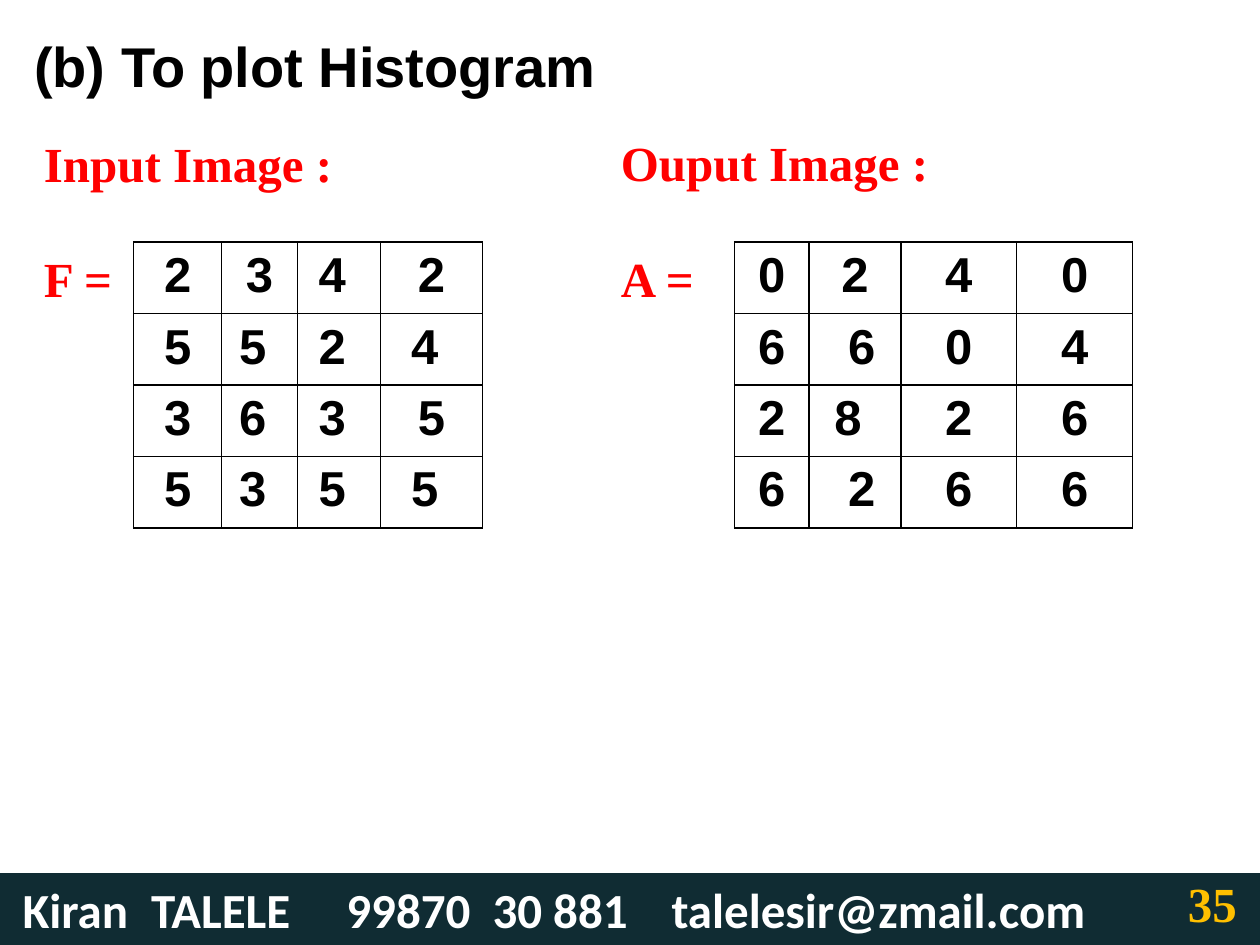
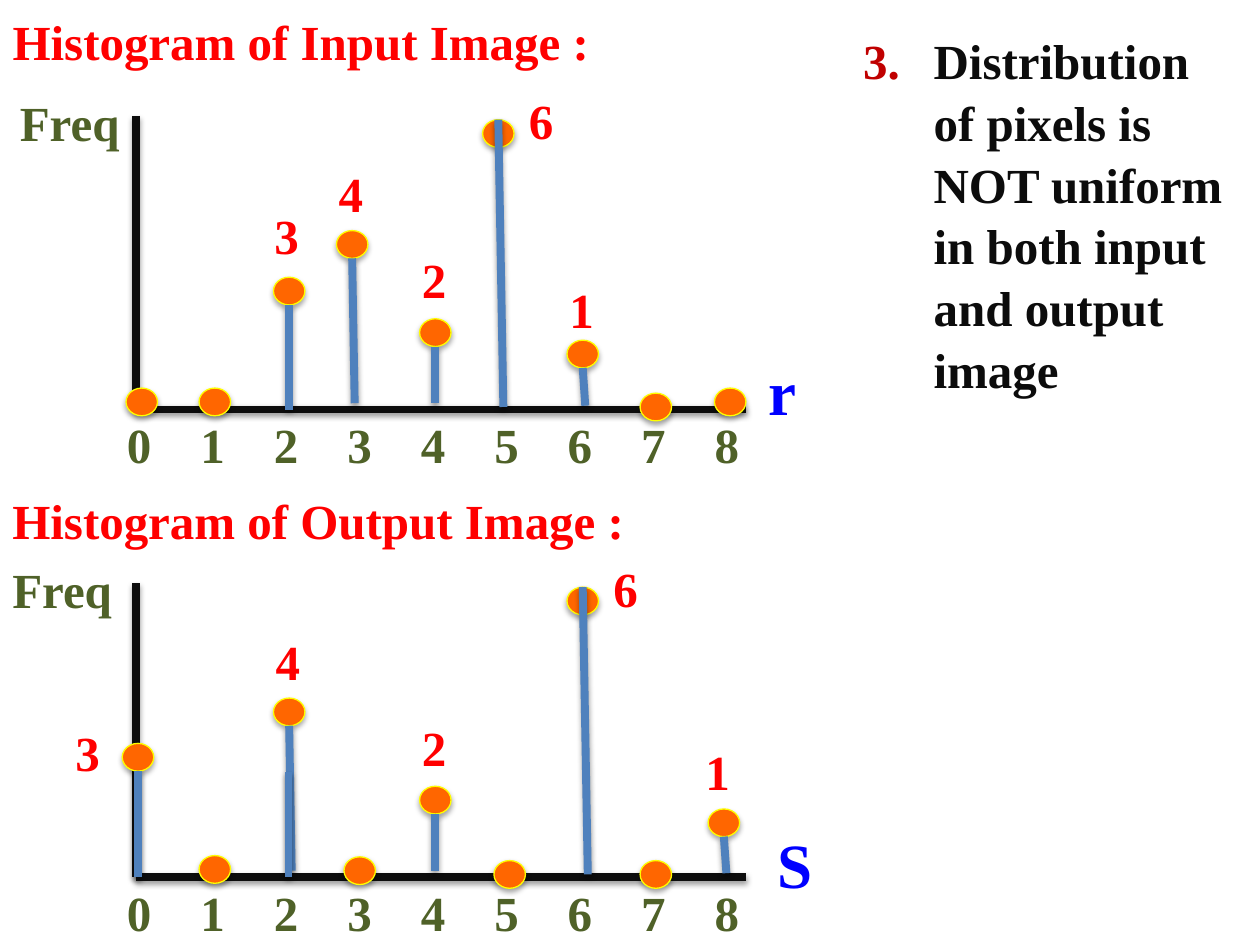
from lxml.etree import SubElement
from pptx import Presentation
from pptx.dml.color import RGBColor
from pptx.enum.shapes import MSO_CONNECTOR, MSO_SHAPE
from pptx.enum.text import MSO_ANCHOR, MSO_AUTO_SIZE, PP_ALIGN
from pptx.oxml.ns import qn
from pptx.util import Inches, Pt

COLORS = {
    "black": "000000", "white": "FFFFFF", "heading": "FF0000",
    "scale": "4F6128", "variable": "0000FF", "axis": "0D0D0D",
    "stem": "4F81BD", "dot": "FF6600", "dot_edge": "FFFF00",
    "footer": "102C33", "page": "FFC000", "number": "C00000", "body": "0C0C0C",
}
SERIF, SANS, FOOTER_FONT = "Times New Roman", "Arial", "Calibri"

# Pixel count: stem lean, stem end, label offset from the dot (x, y)
LEVELS = {
    1: (0.02, 3.22, -0.08, -0.53),
    2: (0, 3.2, -0.08, -0.6),
    3: (0, 3.25, -0.09, -0.62),
    4: (0.02, 3.2, -0.08, -0.58),
    6: (0.04, 3.23, 0.27, -0.28),
}
DOT_W, DOT_H = 0.25, 0.22
BIN_STEP = 0.583

# Each bin: pixel count, dot left, dot top, and a label offset if it differs
INPUT_BINS = [
    (0, 1, 3.08), (0, 1.58, 3.08), (3, 2.17, 2.2), (4, 2.67, 1.83),
    (2, 3.33, 2.53), (6, 3.83, 0.95), (1, 4.5, 2.7), (0, 5.08, 3.12),
    (0, 5.67, 3.08),
]
OUTPUT_BINS = [
    (3, 0.97, 2.19, -0.47, -0.22), (0, 1.58, 3.08), (4, 2.17, 1.83),
    (0, 2.73, 3.09), (2, 3.33, 2.53), (0, 3.92, 3.12), (6, 4.5, 0.95),
    (0, 5.08, 3.12), (1, 5.62, 2.71, -0.12, -0.59),
]

INPUT_PIXELS = [["2", "3", "4 ", "2"], ["5", "5 ", "2 ", "4 "],
                ["3", "6 ", "3 ", "5"], ["5", "3 ", "5 ", "5 "]]
OUTPUT_PIXELS = [["0", " 2 ", " 4 ", "0"], ["6", " 6", "0", "4"],
                 ["2", "8 ", "2", "6"], ["6", " 2", "6", "6"]]


def rgb(name):
    return RGBColor.from_string(COLORS[name])


def place(shape, x, y, w, h):
    shape.left, shape.top = Inches(x), Inches(y)
    shape.width, shape.height = Inches(w), Inches(h)


def add_run(p, text, color, font=SERIF, size=28):
    r = p.add_run()
    r.text = text
    r.font.name, r.font.size, r.font.bold = font, Pt(size), True
    r.font.color.rgb = rgb(color)


def add_tabs(p, stops):
    tabs = SubElement(p._p.get_or_add_pPr(), qn("a:tabLst"))
    for stop in stops:
        SubElement(tabs, qn("a:tab"), pos=str(Inches(stop)), algn="l")


def add_text(s, x, y, w, h, text, color, size=28, anchor=MSO_ANCHOR.MIDDLE, tabs=()):
    tf = s.shapes.add_textbox(Inches(x), Inches(y), Inches(w), Inches(h)).text_frame
    tf.word_wrap = True
    tf.vertical_anchor = anchor
    p = tf.paragraphs[0]
    if tabs:
        add_tabs(p, tabs)
    add_run(p, text, color, size=size)


def set_title(s, x, y, w, h, text, color, font, size):
    title = s.shapes.title
    place(title, x, y, w, h)
    tf = title.text_frame
    tf.auto_size = MSO_AUTO_SIZE.NONE
    tf.vertical_anchor = MSO_ANCHOR.MIDDLE
    p = tf.paragraphs[0]
    p.alignment = PP_ALIGN.LEFT
    add_run(p, text, color, font, size)


def add_shadow(shape, alpha, dist):
    sp_pr = shape._element.spPr
    effects = sp_pr.find(qn("a:effectLst"))
    if effects is None:
        effects = SubElement(sp_pr, qn("a:effectLst"))
    shadow = SubElement(effects, qn("a:outerShdw"), blurRad=str(Pt(3.1)),
                        dist=str(Pt(dist)), dir="5400000", rotWithShape="0")
    color = SubElement(shadow, qn("a:srgbClr"), val=COLORS["black"])
    SubElement(color, qn("a:alpha"), val=str(alpha * 1000))


def add_line(s, x1, y1, x2, y2, color):
    line = s.shapes.add_connector(MSO_CONNECTOR.STRAIGHT, Inches(x1), Inches(y1),
                                  Inches(x2), Inches(y2))
    line.line.color.rgb = rgb(color)
    line.line.width = Pt(4.5)
    add_shadow(line, 38, 1.6)


def add_dot(s, x, y):
    dot = s.shapes.add_shape(MSO_SHAPE.OVAL, Inches(x), Inches(y),
                             Inches(DOT_W), Inches(DOT_H))
    dot.fill.solid()
    dot.fill.fore_color.rgb = rgb("dot")
    dot.line.color.rgb = rgb("dot_edge")
    dot.line.width = Pt(0.75)
    dot.shadow.inherit = False
    add_shadow(dot, 35, 1.8)


def border_cell(cell):
    tc_pr = cell._tc.get_or_add_tcPr()
    for side in ("lnL", "lnR", "lnT", "lnB"):
        ln = SubElement(tc_pr, qn("a:" + side), w=str(Pt(1)))
        fill = SubElement(ln, qn("a:solidFill"))
        SubElement(fill, qn("a:srgbClr"), val=COLORS["black"])


def add_matrix(s, x, y, widths, rows):
    row_h = 0.567
    table = s.shapes.add_table(len(rows), len(widths), Inches(x), Inches(y),
                               Inches(sum(widths)), Inches(row_h * len(rows))).table
    table.first_row = table.horz_banding = False
    for col, width in zip(table.columns, widths):
        col.width = Inches(width)
    for i, values in enumerate(rows):
        table.rows[i].height = Inches(row_h)
        for j, value in enumerate(values):
            cell = table.cell(i, j)
            border_cell(cell)
            cell.fill.background()
            p = cell.text_frame.paragraphs[0]
            p.alignment = PP_ALIGN.CENTER
            add_run(p, value, "black", SANS)


def add_histogram(s, y, bins, freq_x):
    # Axes and scale
    add_line(s, 1.08, y + 0.92, 1.08, y + 3.25, "axis")
    add_line(s, 1.08, y + 3.25, 5.92, y + 3.25, "axis")
    add_text(s, freq_x, y + 0.68, 1.1, 0.57, "Freq", "scale")
    add_text(s, 0.91, y + 3.24, 5.3, 0.57, "\t".join(str(i) for i in range(len(bins))),
             "scale", tabs=[BIN_STEP * i for i in range(1, len(bins))])
    # Dots, stems and counts
    for count, x, top, *label in bins:
        add_dot(s, x, y + top)
        if count == 0:
            continue
        lean, end, dx, dy = LEVELS[count]
        if label:
            dx, dy = label
        center = x + DOT_W / 2
        start = top if count == 6 else top + DOT_H
        add_line(s, center, y + start, center + lean, y + end, "stem")
        add_text(s, x + dx, y + top + dy, 0.4, 0.57, str(count), "heading")


def add_footer(s, page):
    bar = s.shapes.add_shape(MSO_SHAPE.RECTANGLE, 0, Inches(6.93), Inches(10), Inches(0.58))
    bar.fill.solid()
    bar.fill.fore_color.rgb = rgb("footer")
    bar.line.fill.background()
    bar.shadow.inherit = False
    tf = bar.text_frame
    tf.vertical_anchor = MSO_ANCHOR.TOP
    tf.margin_left = Inches(0.18)
    p = tf.paragraphs[0]
    p.alignment = PP_ALIGN.LEFT
    add_tabs(p, [1.02, 2.57, 3.73, 5.15])
    add_run(p, "Kiran\tTALELE\t99870\t30 881\ttalelesir@zmail.com", "white", FOOTER_FONT)
    add_text(s, 9.33, 6.88, 0.67, 0.61, page, "page", anchor=MSO_ANCHOR.TOP)


def fill_conclusion(s, text, number):
    body = s.placeholders[1]
    place(body, 6.75, 0.17, 3.08, 2.93)
    tf = body.text_frame
    tf.auto_size = MSO_AUTO_SIZE.NONE
    p = tf.paragraphs[0]
    p_pr = p._p.get_or_add_pPr()
    p_pr.set("marL", str(Inches(0.56)))
    p_pr.set("indent", str(Inches(-0.56)))
    bullet = SubElement(p_pr, qn("a:buClr"))
    SubElement(bullet, qn("a:srgbClr"), val=COLORS["number"])
    SubElement(p_pr, qn("a:buFont"), typeface=SERIF)
    SubElement(p_pr, qn("a:buAutoNum"), type="arabicPeriod", startAt=str(number))
    p.space_before = Pt(0)
    p.line_spacing = 1.05
    add_run(p, text, "body")


def build_matrices(prs):
    s = prs.slides.add_slide(prs.slide_layouts[5])
    set_title(s, 0.17, 0.08, 9.5, 0.87, "(b) To plot Histogram", "black", SANS, 32)
    add_text(s, 0.25, 1.01, 3.5, 0.57, "Input Image :", "heading")
    add_text(s, 4.83, 1, 3.5, 0.57, "Ouput Image :", "heading")
    add_text(s, 0.25, 1.92, 0.86, 0.57, "F =", "heading")
    add_text(s, 4.83, 1.92, 0.86, 0.57, "A =", "heading")
    add_matrix(s, 1.06, 1.92, [0.7, 0.6, 0.66, 0.81], INPUT_PIXELS)
    add_matrix(s, 5.83, 1.92, [0.59, 0.73, 0.92, 0.92], OUTPUT_PIXELS)
    add_footer(s, "35")


def build_histograms(prs):
    s = prs.slides.add_slide(prs.slide_layouts[1])
    output_y = 3.71
    # Input histogram
    set_title(s, 0, 0.04, 5.17, 0.57, "Histogram of Input Image :", "heading", SERIF, 28)
    add_histogram(s, 0, INPUT_BINS, 0.06)
    add_text(s, 6, 2.75, 0.42, 0.71, "r", "variable", 36, MSO_ANCHOR.TOP)
    # Output histogram, with a second stem at level 2
    add_text(s, 0, 3.84, 5.3, 0.57, "Histogram of Output Image :", "heading")
    add_histogram(s, output_y, OUTPUT_BINS, 0)
    add_line(s, 2.29, output_y + 2.42, 2.29, output_y + 3.25, "stem")
    add_text(s, 6.07, 6.5, 0.85, 0.71, "S", "variable", 36, MSO_ANCHOR.TOP)
    # Conclusion
    fill_conclusion(s, "Distribution of pixels is NOT uniform in both input and output image", 3)


def main():
    prs = Presentation()
    prs.slide_width, prs.slide_height = Inches(10), Inches(7.5)
    build_matrices(prs)
    build_histograms(prs)
    prs.save("out.pptx")


if __name__ == "__main__":
    main()
